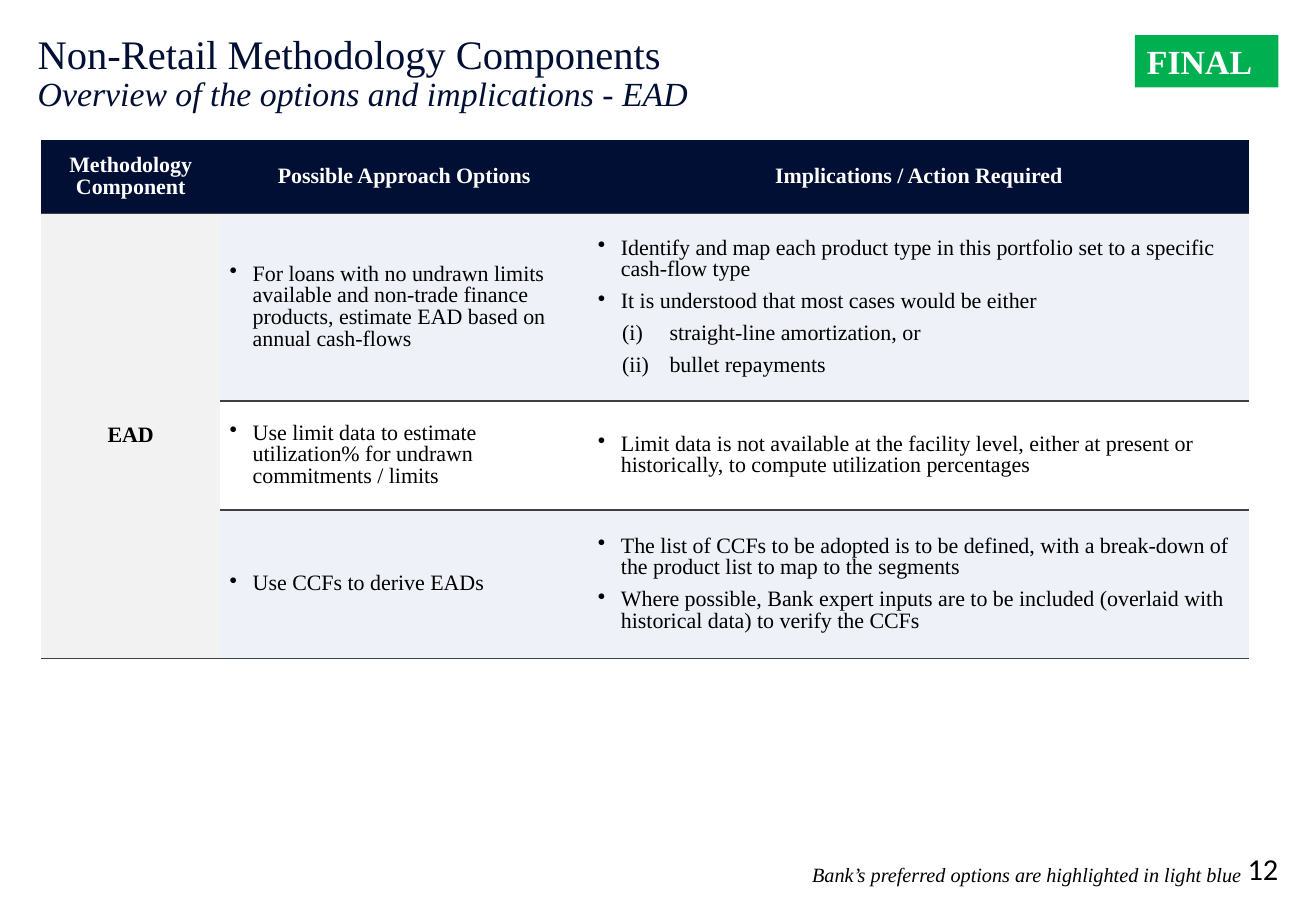
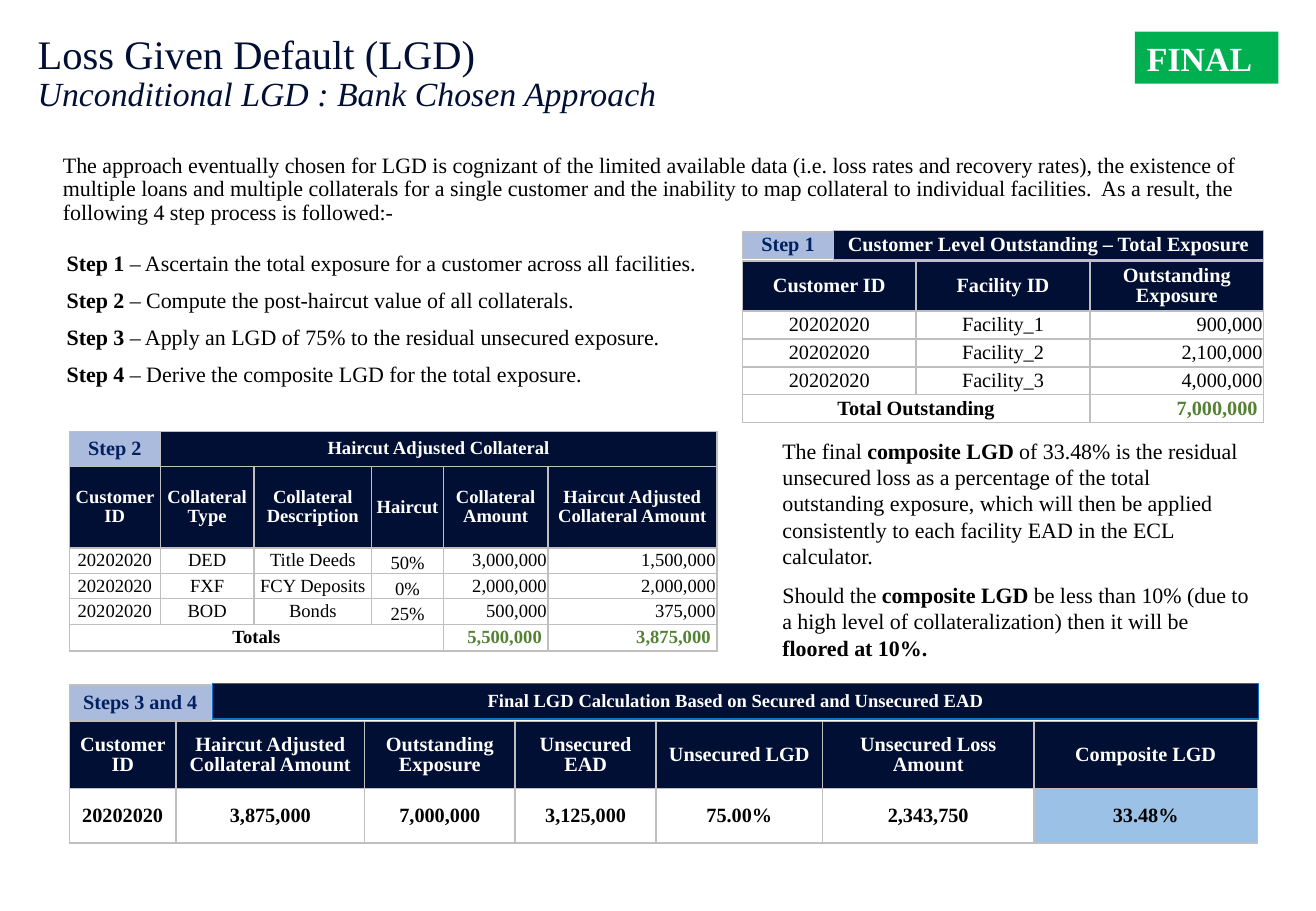
from lxml.etree import SubElement
from pptx import Presentation
from pptx.dml.color import RGBColor
from pptx.enum.shapes import MSO_SHAPE as SHAPE
from pptx.enum.text import MSO_ANCHOR as ANCHOR, PP_ALIGN as ALIGN
from pptx.oxml.ns import qn
from pptx.util import Pt

PX = 9144  # 100 px to the inch
SLIDE_SIZE = (1083, 750)
SERIF = "Times New Roman"
NO_GRID_STYLE = "{2D5ABB26-0587-4C30-8999-92F81FD0307C}"

NAVY = RGBColor(0x00, 0x0F, 0x33)
STEP_TEXT = RGBColor(0x00, 0x20, 0x60)
STEP_FILL = RGBColor(0xAA, 0xBB, 0xDE)
STATUS_GREEN = RGBColor(0x00, 0xB0, 0x50)
TOTAL_GREEN = RGBColor(0x54, 0x82, 0x35)
PREFERRED = RGBColor(0xEE, 0xF1, 0xF8)
COMPONENT_GREY = RGBColor(0xF2, 0xF2, 0xF2)
RESULT_BLUE = RGBColor(0x9B, 0xC2, 0xE6)
BANNER_BLUE = RGBColor(0x11, 0x6F, 0xC4)
RULE_DARK = RGBColor(0x40, 0x40, 0x40)
RULE_GREY = RGBColor(0xBF, 0xBF, 0xBF)
WHITE = RGBColor(0xFF, 0xFF, 0xFF)
BLACK = RGBColor(0x00, 0x00, 0x00)

# Content: EAD options
EAD_TITLE = ("Non-Retail Methodology Components",
             "Overview of the options and implications - EAD")
EAD_HEADS = ["Methodology Component", "Possible Approach Options",
             "Implications / Action Required"]
EAD_COMPONENT = "EAD"
# (option, [(mark, implication)], preferred)
EAD_OPTIONS = [
    ("For loans with no undrawn limits available and non-trade finance products, "
     "estimate EAD based on annual cash-flows",
     [("dot", "Identify and map each product type in this portfolio set to a specific "
              "cash-flow type"),
      ("dot", "It is understood that most cases would be either"),
      ("roman", "straight-line amortization, or"),
      ("roman", "bullet repayments")], True),
    ("Use limit data to estimate utilization% for undrawn commitments / limits",
     [("dot", "Limit data is not available at the facility level, either at present or "
              "historically, to compute utilization percentages")], False),
    ("Use CCFs to derive EADs",
     [("dot", "The list of CCFs to be adopted is to be defined, with a break-down of the "
              "product list to map to the segments"),
      ("dot", "Where possible, Bank expert inputs are to be included (overlaid with "
              "historical data) to verify the CCFs")], True),
]
EAD_NOTE = "Bank’s preferred options are highlighted in light blue"
PAGE_NUMBER = "12"

# Content: LGD approach
LGD_TITLE = ("Loss Given Default (LGD)", "Unconditional LGD : Bank Chosen Approach")
LGD_INTRO = ("The approach eventually chosen for LGD is cognizant of the limited available "
             "data (i.e. loss rates and recovery rates), the existence of multiple loans and "
             "multiple collaterals for a single customer and the inability to map collateral "
             "to individual facilities.  As a result, the following 4 step process is "
             "followed:-")
STEPS = [
    "Ascertain the total exposure for a customer across all facilities.",
    "Compute the post-haircut value of all collaterals.",
    "Apply an LGD of 75% to the residual unsecured exposure.",
    "Derive the composite LGD for the total exposure.",
]
CONCLUSION = [
    [("The final ", False), ("composite LGD ", True),
     ("of 33.48% is the residual unsecured loss as a percentage of the total outstanding "
      "exposure, which will then be applied consistently to each facility EAD in the ECL "
      "calculator.", False)],
    [("Should the ", False), ("composite LGD ", True),
     ("be less than 10% (due to a high level of collateralization) then it will be ", False),
     ("floored at 10%.", True)],
]
CUSTOMER = "20202020"
EXPOSURE = [
    ["Customer ID", "Facility ID", "Outstanding Exposure"],
    [CUSTOMER, "Facility_1", "900,000"],
    [CUSTOMER, "Facility_2", "2,100,000"],
    [CUSTOMER, "Facility_3", "4,000,000"],
    ["Total Outstanding", None, "7,000,000"],
]
COLLATERAL = [
    ["Customer ID", "Collateral Type", "Collateral Description", "Haircut",
     "Collateral Amount", "Haircut Adjusted Collateral Amount"],
    [CUSTOMER, "DED", "Title Deeds", "50%", "3,000,000", "1,500,000"],
    [CUSTOMER, "FXF", "FCY Deposits", "0%", "2,000,000", "2,000,000"],
    [CUSTOMER, "BOD", "Bonds", "25%", "500,000", "375,000"],
    ["Totals", None, None, None, "5,500,000", "3,875,000"],
]
FINAL_LGD = [
    ["Customer ID", "Haircut Adjusted Collateral Amount", "Outstanding Exposure",
     "Unsecured EAD", "Unsecured LGD", "Unsecured Loss Amount", "Composite LGD"],
    [CUSTOMER, "3,875,000", "7,000,000", "3,125,000", "75.00%", "2,343,750", "33.48%"],
]
# (text, box, fill, text colour, line, size)
BANNERS = [
    ("Step 1", (611, 191, 75, 22), STEP_FILL, STEP_TEXT, RULE_GREY, 12),
    ("Customer Level Outstanding – Total Exposure", (686, 190, 354, 24),
     NAVY, WHITE, RULE_GREY, 12),
    ("Step 2", (57, 355, 75, 29), STEP_FILL, STEP_TEXT, RULE_GREY, 12),
    ("Haircut Adjusted Collateral", (132, 355, 458, 29), NAVY, WHITE, RULE_GREY, 11),
    ("Steps 3 and 4", (57, 564, 117, 29), STEP_FILL, STEP_TEXT, RULE_GREY, 12),
    ("Final LGD Calculation Based on Secured and Unsecured EAD", (175, 563, 861, 29),
     NAVY, WHITE, BANNER_BLUE, 11),
]

# (left indent, first-line indent, bullet element, its attributes)
MARKS = {
    "dot": (19, -19, "a:buChar", {"char": "•"}),
    "roman": (59, -39, "a:buAutoNum", {"type": "romanLcParenBoth"}),
}


def emu(lengths):
    return [length * PX for length in lengths]


def add_run(paragraph, text, color, **font):
    run = paragraph.add_run()
    run.text = text
    for name, value in {"name": SERIF, **font}.items():
        setattr(run.font, name, value)
    run.font.color.rgb = color


def write(frame, paragraphs, size, color=BLACK, bold=False, italic=False, align=ALIGN.LEFT,
          spacing=0.9, gap=0, marks=(), font=SERIF):
    """Each paragraph is a string or a list of (text, bold) runs."""
    frame.word_wrap = True
    for i, content in enumerate(paragraphs):
        paragraph = frame.add_paragraph() if i else frame.paragraphs[0]
        if marks:
            left, first, tag, attributes = MARKS[marks[i]]
            properties = paragraph._p.get_or_add_pPr()
            properties.set("marL", str(left * PX))
            properties.set("indent", str(first * PX))
            SubElement(properties, qn(tag), attributes)
        paragraph.alignment, paragraph.line_spacing = align, spacing
        if i and gap:
            paragraph.space_before = Pt(gap)
        runs = [(content, bold)] if isinstance(content, str) else content
        for text, heavy in runs:
            add_run(paragraph, text, color, size=Pt(size), bold=heavy, italic=italic, name=font)


def set_insets(target, insets):
    for side, value in zip(("left", "top", "right", "bottom"), insets):
        setattr(target, f"margin_{side}", value * PX)


def add_text(slide, box, paragraphs, size, insets=(10, 5, 10, 5), anchor=ANCHOR.TOP, **fmt):
    frame = slide.shapes.add_textbox(*emu(box)).text_frame
    set_insets(frame, insets)
    frame.vertical_anchor = anchor
    write(frame, paragraphs, size, **fmt)


def add_block(slide, box, text, fill, size, line=None, insets=(0, 0, 0, 0),
              anchor=ANCHOR.MIDDLE, **fmt):
    block = slide.shapes.add_shape(SHAPE.RECTANGLE, *emu(box))
    block.shadow.inherit = False
    block.fill.solid()
    block.fill.fore_color.rgb = fill
    if line is None:
        block.line.fill.background()
    else:
        block.line.color.rgb = line
        block.line.width = Pt(0.75)
    set_insets(block.text_frame, insets)
    block.text_frame.vertical_anchor = anchor
    write(block.text_frame, [text], size, bold=True, **fmt)


def add_borders(cell, sides, color):
    properties = cell._tc.get_or_add_tcPr()
    for side in sides:
        line = SubElement(properties, qn(f"a:ln{side}"), {"w": str(Pt(1))})
        solid = SubElement(line, qn("a:solidFill"))
        SubElement(solid, qn("a:srgbClr"), {"val": str(color)})


def add_grid(slide, corner, cols, heights, texts, style, insets, sides, rule, merge=None):
    """Draws rows of texts; style(row, column) gives fill, anchor, insets and text format."""
    box = (*corner, sum(cols), sum(heights))
    table = slide.shapes.add_table(len(heights), len(cols), *emu(box)).table
    table.first_row = table.horz_banding = False
    next(table._tbl.iter(qn("a:tableStyleId"))).text = NO_GRID_STYLE
    for column, width in zip(table.columns, cols):
        column.width = width * PX
    for row, height in zip(table.rows, heights):
        row.height = height * PX
    if merge:
        (top, left), (bottom, right) = merge
        table.cell(top, left).merge(table.cell(bottom, right))
    for r, row_texts in enumerate(texts):
        for c, content in enumerate(row_texts):
            cell = table.cell(r, c)
            fmt = style(r, c)
            fill = fmt.pop("fill", None)
            if not cell.is_spanned or r == len(texts) - 1:
                add_borders(cell, sides, rule)
            if fill is None:
                cell.fill.background()
            else:
                cell.fill.solid()
                cell.fill.fore_color.rgb = fill
            set_insets(cell, fmt.pop("insets", insets))
            cell.vertical_anchor = fmt.pop("anchor", ANCHOR.MIDDLE)
            if content is not None:
                write(cell.text_frame, [content] if isinstance(content, str) else content, **fmt)


def start_slide(prs, title, status_top):
    """Adds the title, its subtitle line and the status tag."""
    slide = prs.slides.add_slide(prs.slide_layouts[5])
    heading = slide.shapes.title
    heading.left, heading.top, heading.width, heading.height = emu((31, 28, 1020, 101))
    frame = heading.text_frame
    set_insets(frame, (0, 0, 0, 0))
    frame.vertical_anchor, frame.word_wrap = ANCHOR.TOP, True
    paragraph = frame.paragraphs[0]
    paragraph.alignment, paragraph.line_spacing = ALIGN.LEFT, 0.9
    add_run(paragraph, title[0], NAVY, size=Pt(24))
    paragraph.add_line_break()
    add_run(paragraph, title[1], NAVY, size=Pt(20), italic=True)
    add_block(slide, (934, status_top, 118, 43), "FINAL", STATUS_GREEN, 20, color=WHITE,
              insets=(10, 5, 10, 5), anchor=ANCHOR.TOP, spacing=1.0)
    return slide


def build_ead(prs):
    slide = start_slide(prs, EAD_TITLE, 29)
    texts = [EAD_HEADS]
    for i, (option, implications, _) in enumerate(EAD_OPTIONS):
        texts.append([None if i else EAD_COMPONENT, option, [text for _, text in implications]])

    def style(r, c):
        if r == 0:
            return dict(size=13, fill=NAVY, color=WHITE, bold=True, align=ALIGN.CENTER)
        if c == 0:
            return dict(size=13, fill=COMPONENT_GREY, bold=True, align=ALIGN.CENTER)
        _, implications, preferred = EAD_OPTIONS[r - 1]
        marks = ["dot"] if c == 1 else [mark for mark, _ in implications]
        return dict(size=13, fill=PREFERRED if preferred else None, marks=marks, gap=6)

    add_grid(slide, (34, 115), (147, 303, 544), (61, 154, 90, 122), texts, style,
             (8, 0, 8, 0), "B", RULE_DARK, merge=((1, 0), (3, 0)))
    add_text(slide, (296, 705, 736, 31), [EAD_NOTE], 12, italic=True, align=ALIGN.RIGHT,
             spacing=1.0)
    add_text(slide, (1004, 699, 48, 31), [PAGE_NUMBER], 18, insets=(0, 0, 0, 0),
             anchor=ANCHOR.BOTTOM, align=ALIGN.RIGHT, spacing=1.0, font="Calibri")


def amounts_style(texts, size, first_amount):
    """Navy head row, right-aligned amounts and green totals in the last row."""
    def style(r, c):
        fmt = dict(size=size, align=ALIGN.CENTER)
        if r == 0:
            return dict(fmt, fill=NAVY, color=WHITE, bold=True)
        total = r == len(texts) - 1
        if c >= first_amount:
            fmt["align"] = ALIGN.RIGHT
            if total:
                fmt.update(color=TOTAL_GREEN, insets=(1, 1, 5, 0))
        elif texts[r][c].endswith("%") if texts[r][c] else False:
            fmt["anchor"] = ANCHOR.BOTTOM
        return dict(fmt, bold=total)
    return style


def final_style(r, c):
    fmt = dict(size=12, bold=True, align=ALIGN.CENTER)
    if r == 0:
        return dict(fmt, fill=NAVY, color=WHITE)
    return dict(fmt, fill=RESULT_BLUE if c == len(FINAL_LGD[0]) - 1 else None)


def build_lgd(prs):
    slide = start_slide(prs, LGD_TITLE, 26)
    add_text(slide, (42, 122, 1024, 69), [LGD_INTRO], 13)
    steps = [[(f"Step {n} ", True), (f"– {text}", False)] for n, text in enumerate(STEPS, 1)]
    add_text(slide, (45, 203, 540, 128), steps, 13, gap=7.8)
    add_text(slide, (634, 355, 406, 195), CONCLUSION, 13, spacing=1.0, gap=7.5)
    for text, box, fill, color, line, size in BANNERS:
        add_block(slide, box, text, fill, size, line=line, color=color, align=ALIGN.CENTER)

    grid = dict(insets=(1, 1, 1, 0), sides="LRTB", rule=RULE_GREY)
    add_grid(slide, (611, 215), (143,) * 3, (41,) + (23,) * 4, EXPOSURE,
             amounts_style(EXPOSURE, 12, 2), merge=((4, 0), (4, 1)), **grid)
    add_grid(slide, (57, 384), (75, 77, 97, 59, 86, 139), (67, 21, 21, 21, 22), COLLATERAL,
             amounts_style(COLLATERAL, 11, 4), merge=((4, 0), (4, 3)), **grid)
    add_grid(slide, (57, 594), (88, 155, 124, 116, 137, 174, 184), (55, 45), FINAL_LGD,
             final_style, **grid)


def main():
    prs = Presentation()
    prs.slide_width, prs.slide_height = emu(SLIDE_SIZE)
    build_ead(prs)
    build_lgd(prs)
    prs.save("out.pptx")


if __name__ == "__main__":
    main()
